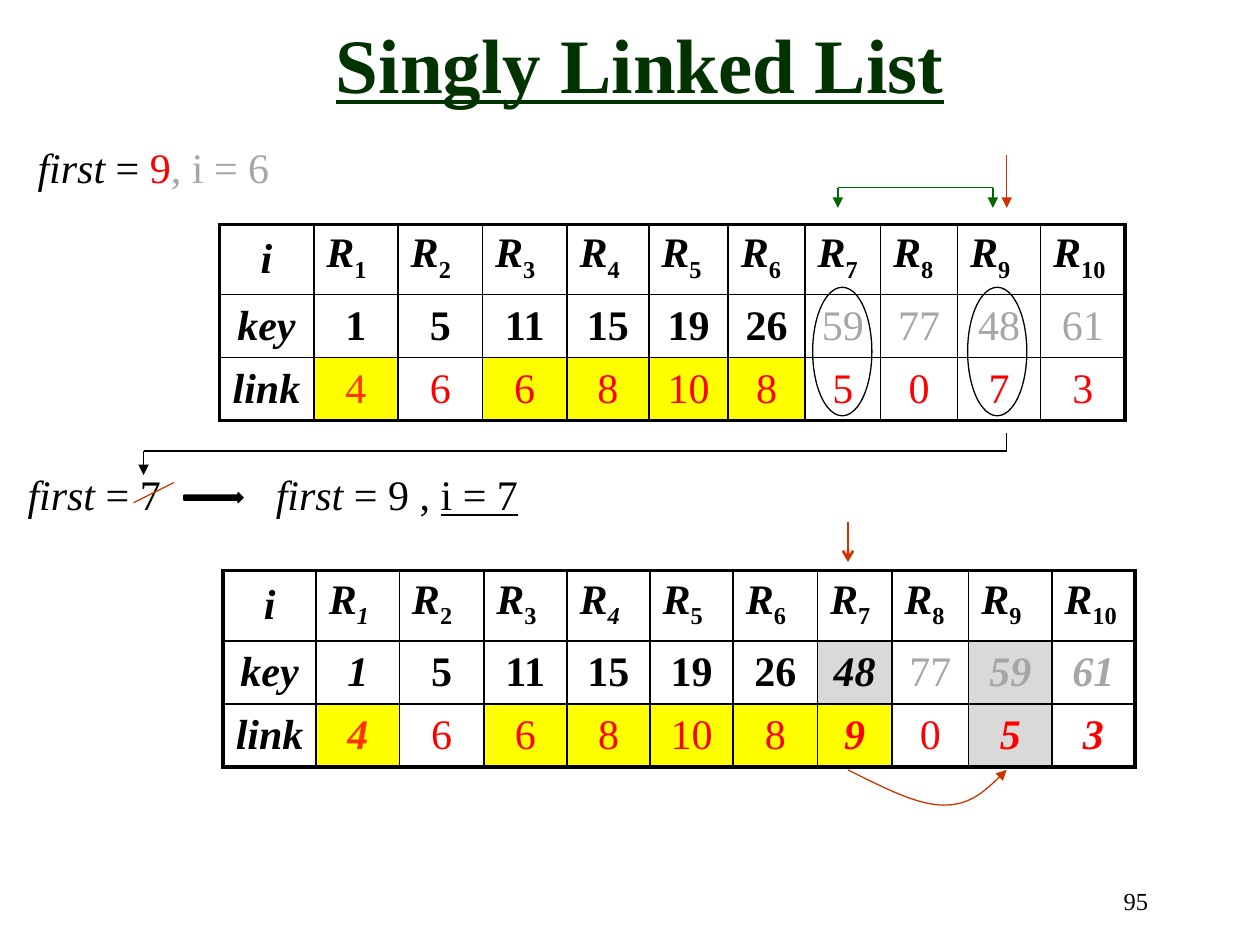
from pptx import Presentation
from pptx.dml.color import RGBColor
from pptx.enum.shapes import MSO_CONNECTOR, MSO_SHAPE
from pptx.enum.text import MSO_ANCHOR, MSO_AUTO_SIZE, PP_ALIGN
from pptx.oxml.ns import qn
from pptx.util import Inches, Pt
from lxml import etree

STRAIGHT = MSO_CONNECTOR.STRAIGHT
ELLIPSE, RIGHT_ARROW = MSO_SHAPE.OVAL, MSO_SHAPE.RIGHT_ARROW
LEFT, CENTER, RIGHT = PP_ALIGN.LEFT, PP_ALIGN.CENTER, PP_ALIGN.RIGHT
TOP, MIDDLE = MSO_ANCHOR.TOP, MSO_ANCHOR.MIDDLE
FIT_TEXT = MSO_AUTO_SIZE.SHAPE_TO_FIT_TEXT

FONT = "Times New Roman"
BLACK, GREY, RED, ORANGE = "000000", "A6A6A6", "FF0000", "FF3300"
GREEN, DARK_GREEN, RUST = "006600", "003300", "CC3300"
YELLOW, SILVER = "FFFF00", "D9D9D9"
COLUMNS, ROWS = 100, 75  # slide grid, ten units to the inch
THIN, THICK = 1, 2.25

LABEL = dict(bold=True, italic=True)
SORTED = dict(bold=True)
WAITING = dict(color=GREY)
LINK = dict(color=RED)
MOVED = dict(color=RED, bold=True, italic=True)


def grid(units):
    return Inches(units / 10)


def rgb(hex_color):
    return RGBColor.from_string(hex_color)


def add_run(paragraph, text, size=24, color=BLACK, bold=False, italic=False,
            underline=False, subscript=False):
    run = paragraph.add_run()
    run.text = text
    font = run.font
    font.name, font.size, font.color.rgb = FONT, Pt(size), rgb(color)
    font.bold, font.italic, font.underline = bold, italic, underline
    if subscript:
        run._r.get_or_add_rPr().set("baseline", "-25000")


def add_text(slide, box, runs, align=LEFT, anchor=TOP, wrap=True, fit=False):
    frame = slide.shapes.add_textbox(*map(grid, box)).text_frame
    frame.word_wrap, frame.vertical_anchor = wrap, anchor
    if fit:
        frame.auto_size = FIT_TEXT
    paragraph = frame.paragraphs[0]
    paragraph.alignment = align
    for text, style in runs:
        add_run(paragraph, text, **style)


def add_borders(cell, widths):
    """Draw black cell borders; widths run left, right, top, bottom."""
    properties = cell._tc.get_or_add_tcPr()
    for place, (side, width) in enumerate(zip("LRTB", widths)):
        line = etree.Element(qn(f"a:ln{side}"), w=str(Pt(width)))
        fill = etree.SubElement(line, qn("a:solidFill"))
        etree.SubElement(fill, qn("a:srgbClr"), val=BLACK)
        properties.insert(place, line)


def add_record_table(slide, left, top, widths, italic_indexes, keys, links, fills):
    """Add the i / key / link table; fills maps (row, column) to a colour."""
    heights = (5.5, 5, 5)
    table = slide.shapes.add_table(
        len(heights), len(widths), grid(left), grid(top),
        grid(sum(widths)), grid(sum(heights))).table
    table.first_row = table.horz_banding = False
    for column, width in zip(table.columns, widths):
        column.width = grid(width)
    for row, height in zip(table.rows, heights):
        row.height = grid(height)

    header = [[("i", LABEL)]] + [
        [("R", LABEL), (str(n), dict(bold=True, italic=n in italic_indexes, subscript=True))]
        for n in range(1, len(widths))]
    rows = [header] + [
        [[(name, LABEL)]] + [[value] for value in values]
        for name, values in (("key", keys), ("link", links))]
    last_row, last_column = len(heights) - 1, len(widths) - 1
    for r, row in enumerate(rows):
        for c, runs in enumerate(row):
            cell = table.cell(r, c)
            record_name = r == 0 and c > 0
            cell.vertical_anchor = TOP if record_name else MIDDLE
            paragraph = cell.text_frame.paragraphs[0]
            paragraph.alignment = LEFT if record_name else CENTER
            for text, style in runs:
                add_run(paragraph, text, **style)
            if (r, c) in fills:
                cell.fill.solid()
                cell.fill.fore_color.rgb = rgb(fills[r, c])
            else:
                cell.fill.background()
            outer = (c == 0, c == last_column, r == 0, r == last_row)
            add_borders(cell, [THICK if edge else THIN for edge in outer])


def style_line(line, color, width=0.75, head=None):
    line.color.rgb, line.width = rgb(color), Pt(width)
    if head:
        etree.SubElement(line._get_or_add_ln(), qn("a:tailEnd"), type=head)


def add_line(slide, start, end, color, width=0.75, head=None):
    connector = slide.shapes.add_connector(STRAIGHT, *map(grid, start + end))
    style_line(connector.line, color, width, head)
    etree.SubElement(connector._element.spPr, qn("a:effectLst"))


def add_polyline(slide, points, color):
    """Join points with lines, the last one ending in an arrowhead."""
    legs = list(zip(points, points[1:]))
    for start, end in legs:
        add_line(slide, start, end, color,
                 head="triangle" if (start, end) == legs[-1] else None)


def add_shape(slide, kind, box, fill=None):
    shape = slide.shapes.add_shape(kind, *map(grid, box))
    shape.shadow.inherit = False
    if fill:
        shape.fill.solid()
        shape.fill.fore_color.rgb = rgb(fill)
    else:
        shape.fill.background()
    style_line(shape.line, BLACK)


def add_curved_arrow(slide, start, segments, color):
    """Each segment holds two control points and an end point."""
    builder = slide.shapes.build_freeform(*map(grid, start))
    builder.add_line_segments([tuple(map(grid, s[-1])) for s in segments], close=False)
    curve = builder.convert_to_shape()
    curve.shadow.inherit = False
    curve.fill.background()
    style_line(curve.line, color, head="triangle")
    straight_legs = list(curve._element.iter(qn("a:lnTo")))
    for leg, controls in zip(straight_legs, segments):
        leg.tag = qn("a:cubicBezTo")
        for place, (x, y) in enumerate(controls[:-1]):
            point = etree.Element(qn("a:pt"), x=str(grid(x) - curve.left),
                                  y=str(grid(y) - curve.top))
            leg.insert(place, point)


def main():
    presentation = Presentation()
    presentation.slide_width, presentation.slide_height = grid(COLUMNS), grid(ROWS)
    slide = presentation.slides.add_slide(presentation.slide_layouts[6])
    first = ("first", dict(italic=True))

    add_text(slide, (71.3, 69.8, 20.8, 5), [("95", dict(size=14))], RIGHT)
    add_text(slide, (1.2, 36.7, 14.2, 5), [first, (" = 7", {})], fit=True)
    add_text(slide, (2, 10.7, 20.6, 5.1),
             [("first ", dict(italic=True)), ("= ", {}), ("9", LINK), (", i = 6", WAITING)],
             wrap=False, fit=True)

    sorted_keys = [(key, SORTED) for key in ("1", "5", "11", "15", "19", "26")]
    sorted_links = [(link, LINK) for link in ("6", "6", "8", "10", "8")]
    visited = {(2, column): YELLOW for column in (1, 3, 4, 5, 6)}
    add_record_table(
        slide, 17.4, 17.8, (7.5, 6.7, 6.7, 6.7, 6.5, 6.3, 6.1, 6, 6.1, 6.6, 6.7), (),
        sorted_keys + [(key, WAITING) for key in ("59", "77", "48", "61")],
        [("4", dict(color=ORANGE))] + sorted_links
        + [(link, LINK) for link in ("5", "0", "7", "3")],
        visited)
    waiting_moved = dict(LABEL, color=GREY)
    add_record_table(
        slide, 17.7, 45.3, (7.4, 6.6, 6.7, 6.6, 6.6, 6.6, 6.7, 5.9, 6.1, 6.6, 6.6), (1, 4),
        [("1", LABEL)] + sorted_keys[1:]
        + [("48", LABEL), ("77", WAITING), ("59", waiting_moved), ("61", waiting_moved)],
        [("4", dict(LABEL, color=ORANGE))] + sorted_links
        + [("9", MOVED), ("0", LINK), ("5", MOVED), ("3", MOVED)],
        visited | {(2, 7): YELLOW, (1, 7): SILVER, (1, 9): SILVER, (2, 9): SILVER})

    swap_left, swap_right, current = 66.5, 78.8, 79.9
    add_line(slide, (swap_left, 14.9), (swap_left, 16.5), GREEN, head="triangle")
    add_polyline(slide, [(swap_left, 14.9), (swap_right, 14.9), (swap_right, 16.5)], GREEN)
    add_line(slide, (current, 12.3), (current, 16.5), RUST, head="triangle")
    add_text(slide, (14.6, 0, 72.4, 10),
             [("Singly Linked List", dict(size=44, color=DARK_GREEN, bold=True, underline=True))],
             CENTER, MIDDLE)
    for left in (64.5, 76.8):
        add_shape(slide, ELLIPSE, (left, 22.8, 4.7, 10.2))
    add_polyline(slide, [(current, 34.4), (current, 35.8), (11.4, 35.8), (11.4, 37.7)], BLACK)
    add_line(slide, (67.3, 41.4), (67.3, 44.6), RUST, 1.5, "arrow")
    add_curved_arrow(slide, (67.3, 61.1), [
        ((70.1, 62.5), (72.8, 63.9), (74.9, 63.9)),
        ((77, 63.9), (78.5, 62.5), (current, 61.1))], RUST)
    add_text(slide, (20.9, 36.7, 22.8, 5),
             [first, (" = 9 , ", {}), ("i = 7", dict(underline=True))], fit=True)
    add_line(slide, (10.6, 39.9), (13.8, 38.3), RUST)
    add_shape(slide, RIGHT_ARROW, (14.6, 39.1, 4.7, 0.8), BLACK)
    presentation.save("out.pptx")


if __name__ == "__main__":
    main()
